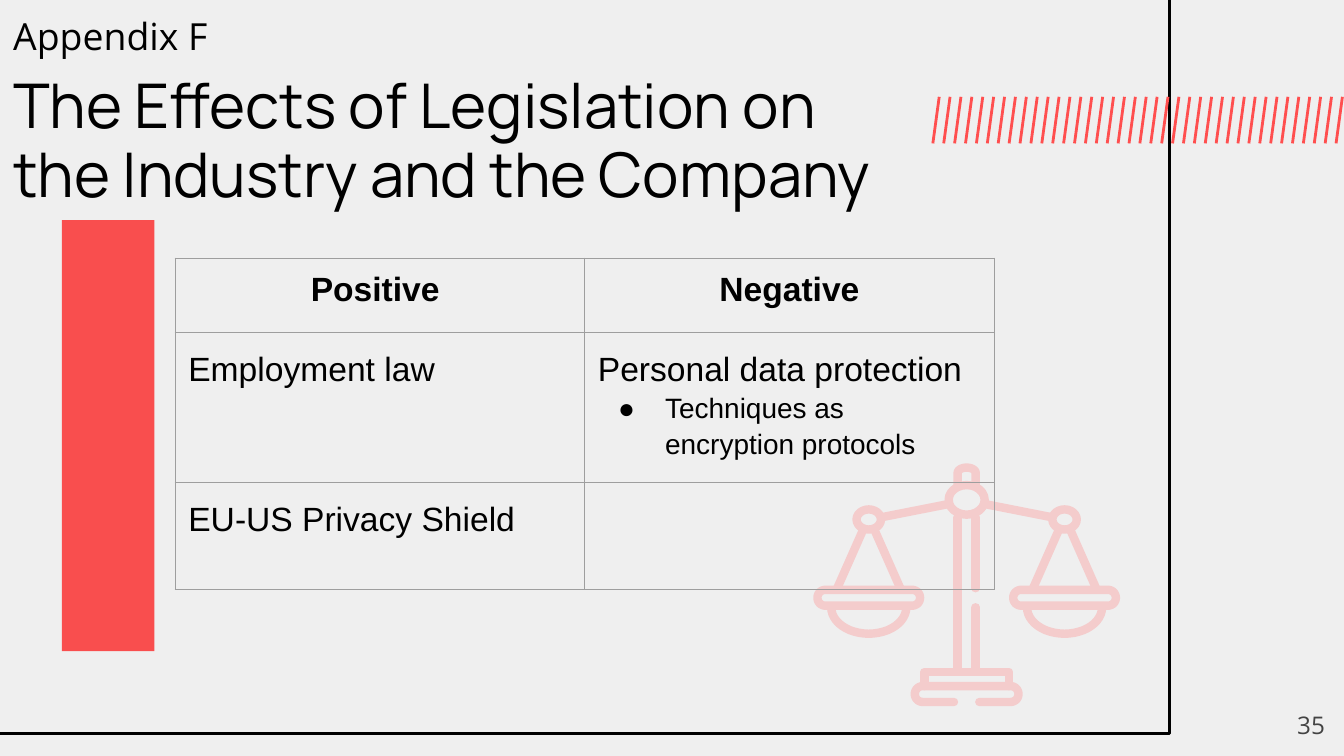
import math
from dataclasses import dataclass
from typing import Any

from lxml import etree
from pptx import Presentation
from pptx import util as u
from pptx.dml import color as dml
from pptx.enum import shapes, text
from pptx.oxml import ns

INK = "000000"
CORAL = "FF4F4F"
PALE_PINK = "F4CCCC"
GRID_GREY = "9E9E9E"
INSET = u.Cm(0.25)
MARGINS = {f"margin_{side}": INSET for side in ("left", "right", "top", "bottom")}

Point = tuple[float, float]


@dataclass
class Line:
    words: str
    size: float
    family: str = "Arial"
    color: str = INK
    bold: bool = False
    align: text.PP_ALIGN = text.PP_ALIGN.LEFT
    spacing: float = 1.0
    bullet: str = ""


@dataclass
class Block:
    left: float
    top: float
    width: float
    height: float

    def lengths(self) -> list[int]:
        return [u.Cm(v) for v in (self.left, self.top, self.width, self.height)]


def rgb(value: str) -> dml.RGBColor:
    return dml.RGBColor.from_string(value)


def apply(target: Any, values: dict[str, Any]) -> None:
    for key, value in values.items():
        setattr(target, key, value)


def add(parent: Any, tag: str, **attributes: str) -> Any:
    return etree.SubElement(parent, ns.qn(tag), **attributes)


def write(frame: Any, lines: list[Line]) -> None:
    for index, line in enumerate(lines):
        paragraph = frame.add_paragraph() if index else frame.paragraphs[0]
        if line.bullet:
            props = paragraph._p.get_or_add_pPr()
            props.set("marL", str(u.Cm(1.27)))
            props.set("indent", str(-u.Cm(0.89)))
            add(add(props, "a:buClr"), "a:srgbClr", val=line.color)
            add(props, "a:buFont", typeface=line.family)
            add(props, "a:buChar", char=line.bullet)
        apply(paragraph, {"alignment": line.align, "line_spacing": line.spacing,
                          "space_before": u.Pt(0)})
        run = paragraph.add_run()
        run.text = line.words
        apply(run.font, {"size": u.Pt(line.size), "name": line.family, "bold": line.bold})
        run.font.color.rgb = rgb(line.color)


def format_frame(frame: Any) -> None:
    apply(frame, MARGINS | {"word_wrap": True, "auto_size": text.MSO_AUTO_SIZE.NONE,
                            "vertical_anchor": text.MSO_ANCHOR.TOP})


def add_text(slide: Any, block: Block, line: Line) -> None:
    frame = slide.shapes.add_textbox(*block.lengths()).text_frame
    format_frame(frame)
    write(frame, [line])


def outline(shape: Any, color: str, width: float) -> None:
    shape.line.color.rgb = rgb(color)
    shape.line.width = u.Pt(width)


def add_frame(slide: Any) -> None:
    border = slide.shapes.add_shape(
        shapes.MSO_SHAPE.RECTANGLE, *Block(-0.29, -0.29, 22.4, 14.15).lengths())
    border.shadow.inherit = False
    border.fill.background()
    outline(border, INK, 1.5)


def add_hatching(slide: Any, count: int = 38) -> None:
    first, last, slant = 17.75, 25.37, 0.12
    for index in range(count):
        x = first + (last - first) * index / (count - 1)
        stroke = slide.shapes.add_connector(
            shapes.MSO_CONNECTOR.STRAIGHT,
            u.Cm(x), u.Cm(1.83), u.Cm(x - slant), u.Cm(2.71))
        outline(stroke, CORAL, 1.5)
        add(stroke._element.spPr, "a:effectLst")


def add_red_bar(slide: Any) -> None:
    bar = slide.shapes.add_shape(
        shapes.MSO_SHAPE.RECTANGLE, *Block(1.17, 4.16, 1.75, 8.15).lengths())
    bar.shadow.inherit = False
    bar.fill.solid()
    bar.fill.fore_color.rgb = rgb("FF0000")
    add(bar._element.spPr.find(".//" + ns.qn("a:srgbClr")), "a:alpha", val="67000")
    bar.line.fill.background()


def arc(cx: float, cy: float, rx: float, ry: float, start: int, end: int) -> list[Point]:
    steps = 24
    angles = [math.radians(start + (end - start) * i / steps) for i in range(steps + 1)]
    return [(cx + rx * math.cos(a), cy + ry * math.sin(a)) for a in angles]


def capsule(cx: float, top: float, half: float, gap: float = 0) -> list[Point]:
    r = 0.15
    return [(cx + gap, top + 2 * r),
            *arc(cx + half - r, top + r, r, r, 90, -90),
            *arc(cx - half + r, top + r, r, r, -90, -270),
            (cx - gap, top + 2 * r)]


def scales_strokes() -> list[list[Point]]:
    axis, post = 18.27, 0.17
    strokes = [
        [(axis - post, 9.17), *arc(axis, 8.94, post, 0.1, 180, 360), (axis + post, 9.17)],
        arc(axis, 9.45, 0.34, 0.28, 0, 360),
        [(axis - post, 9.78), (axis - post, 12.68)],
        [(axis + post, 9.78), (axis + post, 11.12)],
        [(axis + post, 11.48), (axis + post, 12.68)],
        [(axis - 0.8, 12.97), (axis - 0.8, 12.7), (axis + 0.8, 12.7), (axis + 0.8, 12.97)],
        capsule(axis, 12.97, 0.98, 0.24),
    ]
    for side in (-1, 1):
        pan = axis + side * 1.85
        strokes += [
            [(axis + side * 0.35, 9.53), (axis + side * 1.62, 9.78)],
            arc(pan, 9.82, 0.23, 0.19, 0, 360),
            [(pan - 0.6, 11.13), (pan - 0.11, 10.02)],
            [(pan + 0.11, 10.02), (pan + 0.6, 11.13)],
            capsule(pan, 11.15, 0.97),
            arc(pan, 11.48, 0.71, 0.5, 0, 180),
        ]
    return strokes


def add_scales(slide: Any) -> None:
    strokes = [[(u.Cm(x), u.Cm(y)) for x, y in stroke] for stroke in scales_strokes()]
    builder = slide.shapes.build_freeform(*strokes[0][0])
    for stroke in strokes:
        builder.move_to(*stroke[0])
        builder.add_line_segments(stroke[1:], close=False)
    scales = builder.convert_to_shape()
    scales.shadow.inherit = False
    scales.fill.background()
    outline(scales, PALE_PINK, 4.5)
    pen = scales.line._get_or_add_ln()
    pen.set("cap", "rnd")
    add(pen, "a:round")


def add_borders(cell: Any) -> None:
    props = cell._tc.get_or_add_tcPr()
    for index, side in enumerate(("a:lnL", "a:lnR", "a:lnT", "a:lnB")):
        edge = etree.Element(ns.qn(side), w=str(u.Pt(0.75)))
        add(add(edge, "a:solidFill"), "a:srgbClr", val=GRID_GREY)
        props.insert(index, edge)


def add_effects(slide: Any, rows: list[list[list[Line]]], heights: list[float]) -> None:
    block = Block(3.31, 4.88, 15.48, sum(heights))
    table = slide.shapes.add_table(len(rows), len(rows[0]), *block.lengths()).table
    apply(table, {"first_row": False, "horz_banding": False})
    for column in table.columns:
        column.width = u.Cm(block.width / len(rows[0]))
    for row, height, contents in zip(table.rows, heights, rows):
        row.height = u.Cm(height)
        for cell, lines in zip(row.cells, contents):
            apply(cell, MARGINS)
            cell.fill.background()
            add_borders(cell)
            write(cell.text_frame, lines)


def header(words: str) -> list[Line]:
    return [Line(words, 18, bold=True, align=text.PP_ALIGN.CENTER)]


def effect(words: str) -> Line:
    return Line(words, 18, spacing=1.15)


def main() -> None:
    deck = Presentation()
    apply(deck, {"slide_width": u.Cm(25.4), "slide_height": u.Cm(14.29)})
    slide = deck.slides.add_slide(deck.slide_layouts[5])
    slide.background.fill.solid()
    slide.background.fill.fore_color.rgb = rgb("EFEFEF")
    add_frame(slide)
    add_hatching(slide)
    add_red_bar(slide)
    title = slide.shapes.title
    apply(title, dict(zip(("left", "top", "width", "height"),
                          Block(0, 1.14, 21.41, 1.6).lengths())))
    format_frame(title.text_frame)
    write(title.text_frame, [Line(words, 33, "Manrope", spacing=0.93) for words in
                             ("The Effects of Legislation on", "the Industry and the Company")])
    add_scales(slide)
    add_text(slide, Block(23.77, 13.18, 1.52, 1.09),
             Line("35", 13, "Open Sans", "434343", align=text.PP_ALIGN.RIGHT))
    add_effects(slide, [
        [header("Positive "), header("Negative")],
        [[effect("Employment law")],
         [effect("Personal data protection"),
          Line("Techniques as encryption protocols", 15, spacing=1.15, bullet="●")]],
        [[effect("EU-US Privacy Shield")], []],
    ], [1.4, 2.84, 2.02])
    add_text(slide, Block(0, 0, 8.33, 1.37), Line("Appendix F", 20, "Open Sans"))
    deck.save("out.pptx")


if __name__ == "__main__":
    main()
